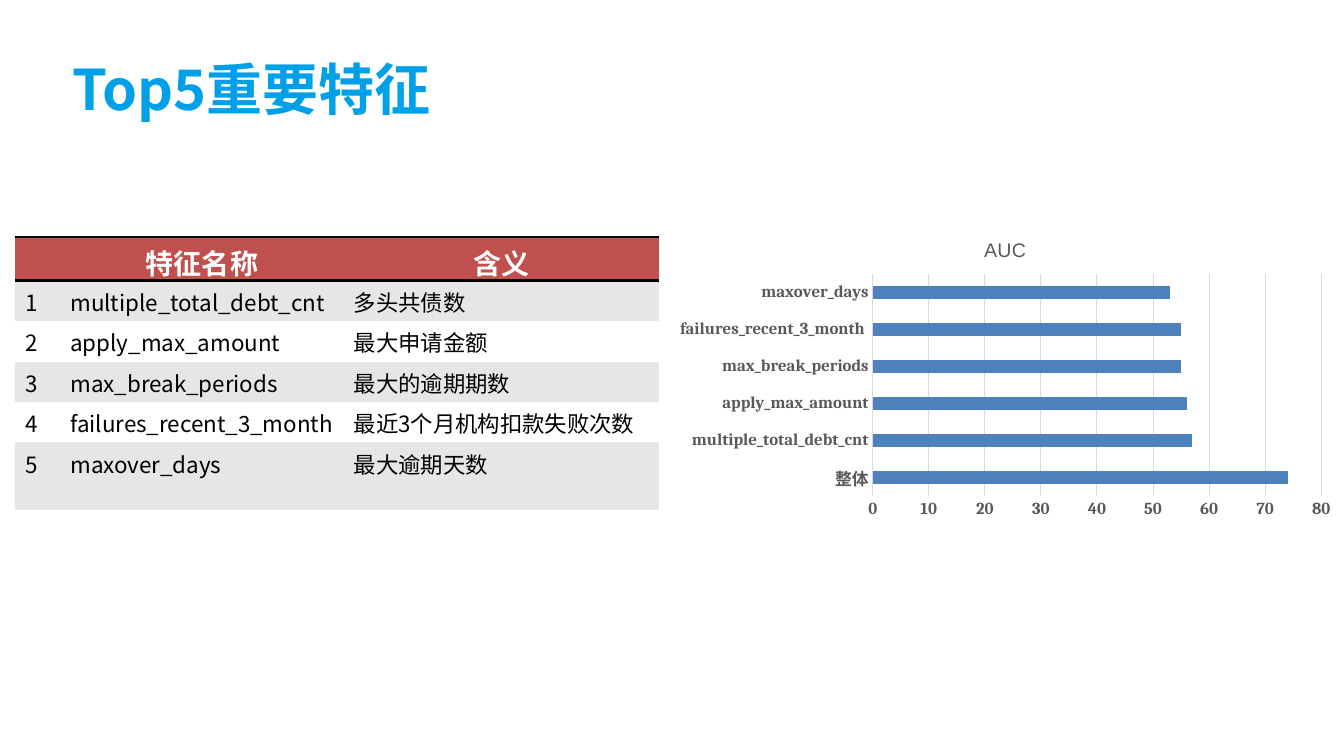
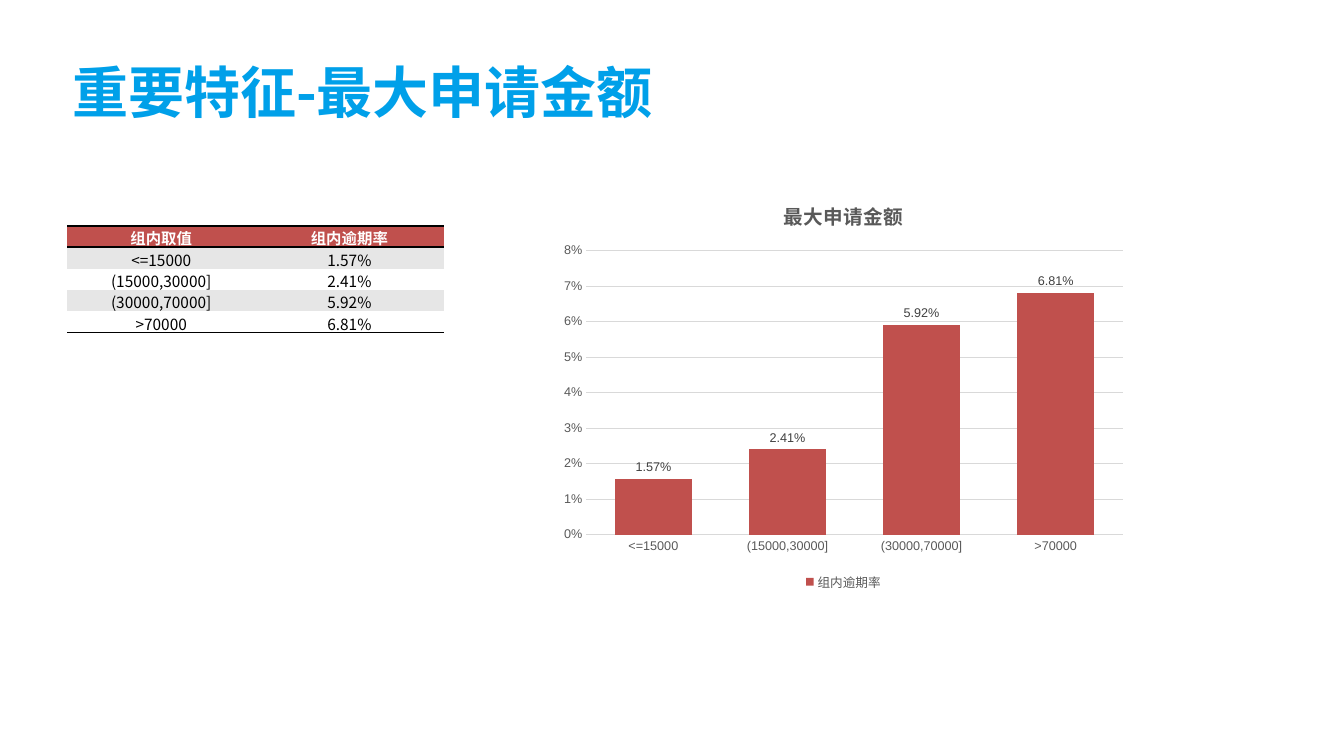
from pptx import Presentation
from pptx import util as u
from pptx.chart.data import CategoryChartData
from pptx.dml.color import RGBColor
from pptx.enum import chart as ch, text
from pptx.oxml.ns import qn
from lxml import etree

SLIDE_W, SLIDE_H = u.Inches(13.33), u.Inches(7.5)
SKY = RGBColor(0x00, 0xA0, 0xE9)
RED = RGBColor(0xC0, 0x50, 0x4D)
BLUE = RGBColor(0x4F, 0x81, 0xBD)
BLACK = RGBColor(0x00, 0x00, 0x00)
WHITE = RGBColor(0xFF, 0xFF, 0xFF)
BAND = RGBColor(0xE6, 0xE6, 0xE6)
GRID = RGBColor(0xD9, 0xD9, 0xD9)
GREY = RGBColor(0x59, 0x59, 0x59)
DARK = RGBColor(0x40, 0x40, 0x40)
CJK, SANS, SERIF = "Noto Sans CJK SC", "Arial", "Cambria"
PLAIN_TABLE = "{2D5ABB26-0587-4C30-8999-92F81FD0307C}"
CENTER = text.PP_ALIGN.CENTER
MIDDLE = text.MSO_ANCHOR.MIDDLE


def grid_box(col, row, cols, rows):
    w, h = SLIDE_W / 100, SLIDE_H / 100
    return [round(v) for v in (col * w, row * h, cols * w, rows * h)]


def assign(obj, **values):
    for name, value in values.items():
        setattr(obj, name, value)


def set_font(font, size, color, name=CJK, bold=False):
    assign(font, size=u.Pt(size), name=name, bold=bold)
    font.color.rgb = color


def add_run(p, words, size, color, bold=False, name=CJK):
    r = p.add_run()
    r.text = words
    set_font(r.font, size, color, name, bold)
    etree.SubElement(r.font._element, qn("a:ea"), typeface=CJK)


def add_title(s, words, box):
    tf = s.shapes.add_textbox(*box).text_frame
    inset = u.Inches(0.05)
    assign(tf, word_wrap=True, vertical_anchor=MIDDLE, margin_left=inset,
           margin_right=inset, margin_top=inset, margin_bottom=inset)
    add_run(tf.paragraphs[0], words, 40, SKY, True)


def set_borders(cell, **widths):
    tc_pr = cell._tc.get_or_add_tcPr()
    for i, (side, width) in enumerate(widths.items()):
        ln = etree.Element(qn(f"a:ln{side}"), w=str(u.Pt(width)))
        fill = etree.SubElement(ln, qn("a:solidFill"))
        etree.SubElement(fill, qn("a:srgbClr"), val=str(BLACK))
        tc_pr.insert(i, ln)


def add_table(s, box, rows, col_shares, row_shares, head_size, body_size,
              body_align=None, closing_line=0, cell_format=None):
    table = s.shapes.add_table(len(rows), len(col_shares), *box).table
    assign(table, first_row=False, horz_banding=False)
    table._tbl.tblPr.find(qn("a:tableStyleId")).text = PLAIN_TABLE
    for col, share in zip(table.columns, col_shares):
        col.width = round(box[2] * share / 100)
    for row, share in zip(table.rows, row_shares):
        row.height = round(box[3] * share / 100)
    for i, row in enumerate(rows):
        head = i == 0
        for j, words in enumerate(row):
            cell = table.cell(i, j)
            assign(cell, **(cell_format or {}))
            cell.fill.solid()
            cell.fill.fore_color.rgb = RED if head else BAND if i % 2 else WHITE
            if head:
                set_borders(cell, T=2, B=2)
            elif closing_line and i == len(rows) - 1:
                set_borders(cell, B=closing_line)
            if words:
                p = cell.text_frame.paragraphs[0]
                p.alignment = CENTER if head else body_align
                add_run(p, words, head_size if head else body_size,
                        WHITE if head else BLACK, head)


def style_axes(chart, top, step, size, name, bold):
    cat, val = chart.category_axis, chart.value_axis
    for axis in (cat, val):
        assign(axis, major_tick_mark=ch.XL_TICK_MARK.NONE,
               minor_tick_mark=ch.XL_TICK_MARK.NONE)
        set_font(axis.tick_labels.font, size, GREY, name, bold)
    assign(val, minimum_scale=0, maximum_scale=top, major_unit=step,
           has_major_gridlines=True)
    cat.has_major_gridlines = False
    val.format.line.fill.background()
    for line in (cat.format.line, val.major_gridlines.format.line):
        line.width = u.Pt(0.75)
        line.color.rgb = GRID


def add_bars(s, box, kind, title, title_font, cats, series, vals, color,
             axis, gap, overlap=0):
    data = CategoryChartData()
    data.categories = cats
    data.add_series(series, vals)
    chart = s.shapes.add_chart(kind, *box, data).chart
    set_font(chart.font, 10, BLACK, SANS)
    assign(chart, has_title=True, has_legend=False)
    add_run(chart.chart_title.text_frame.paragraphs[0], title, 14, GREY,
            **title_font)
    chart.chart_title.include_in_layout = False
    style_axes(chart, **axis)
    plot = chart.plots[0]
    assign(plot, gap_width=gap, overlap=overlap, vary_by_categories=False)
    bars = plot.series[0]
    bars.invert_if_negative = False
    bars.format.fill.solid()
    bars.format.fill.fore_color.rgb = color
    return chart


def add_percent_labels(chart):
    chart.has_legend = True
    assign(chart.legend, position=ch.XL_LEGEND_POSITION.BOTTOM,
           include_in_layout=False)
    set_font(chart.legend.font, 9, GREY, SANS)
    assign(chart.value_axis.tick_labels, number_format="0%",
           number_format_is_linked=False)
    labels = chart.plots[0].series[0].data_labels
    assign(labels, show_value=True, number_format="0.00%",
           number_format_is_linked=False,
           position=ch.XL_LABEL_POSITION.OUTSIDE_END)
    set_font(labels.font, 9, DARK, SANS)


def build_top_features(s):
    features = [("multiple_total_debt_cnt", "多头共债数"),
                ("apply_max_amount", "最大申请金额"),
                ("max_break_periods", "最大的逾期期数"),
                ("failures_recent_3_month", "最近3个月机构扣款失败次数"),
                ("maxover_days", "最大逾期天数")]
    rows = [("", "特征名称", "含义")]
    rows += [(str(i), *f) for i, f in enumerate(features, 1)]
    add_title(s, "Top5重要特征", grid_box(5, 4.8, 90, 13.6))
    add_table(s, grid_box(1.13, 31.33, 47.94, 35.7), rows, (7, 44, 49),
              (15,) * 5 + (25,), 20, 16)
    cats = ["整体", "multiple_total_debt_cnt", "apply_max_amount",
            "max_break_periods", "failures_recent_3_month ", "maxover_days"]
    add_bars(s, grid_box(49.59, 29.47, 50.41, 40),
             ch.XL_CHART_TYPE.BAR_CLUSTERED, "AUC", dict(name=SANS), cats,
             "Series 1", (74, 57, 56, 55, 55, 53), BLUE,
             dict(top=80, step=10, size=12, name=SERIF, bold=True), 182)


def build_max_amount(s):
    groups = ["<=15000", "(15000,30000]", "(30000,70000]", ">70000"]
    rates = [0.0157, 0.0241, 0.0592, 0.0681]
    rows = [("组内取值", "组内逾期率")]
    rows += [(g, f"{rate:.2%}") for g, rate in zip(groups, rates)]
    inset = u.Inches(0.01)
    add_title(s, "重要特征-最大申请金额", grid_box(5, 5.2, 90, 13.6))
    chart = add_bars(s, grid_box(41.11, 24, 43.29, 54.67),
                     ch.XL_CHART_TYPE.COLUMN_CLUSTERED, "最大申请金额",
                     dict(bold=True), groups, "组内逾期率", rates, RED,
                     dict(top=0.08, step=0.01, size=9, name=SANS, bold=False),
                     75, -25)
    add_percent_labels(chart)
    add_table(s, grid_box(5, 29.87, 28, 14.13), rows, (50, 50), (20,) * 5,
              11, 11, CENTER, 1,
              dict(vertical_anchor=MIDDLE, margin_left=inset,
                   margin_right=inset, margin_top=inset, margin_bottom=0))


def main():
    prs = Presentation()
    assign(prs, slide_width=SLIDE_W, slide_height=SLIDE_H)
    for build in (build_top_features, build_max_amount):
        build(prs.slides.add_slide(prs.slide_layouts[6]))
    prs.save("out.pptx")


if __name__ == "__main__":
    main()
